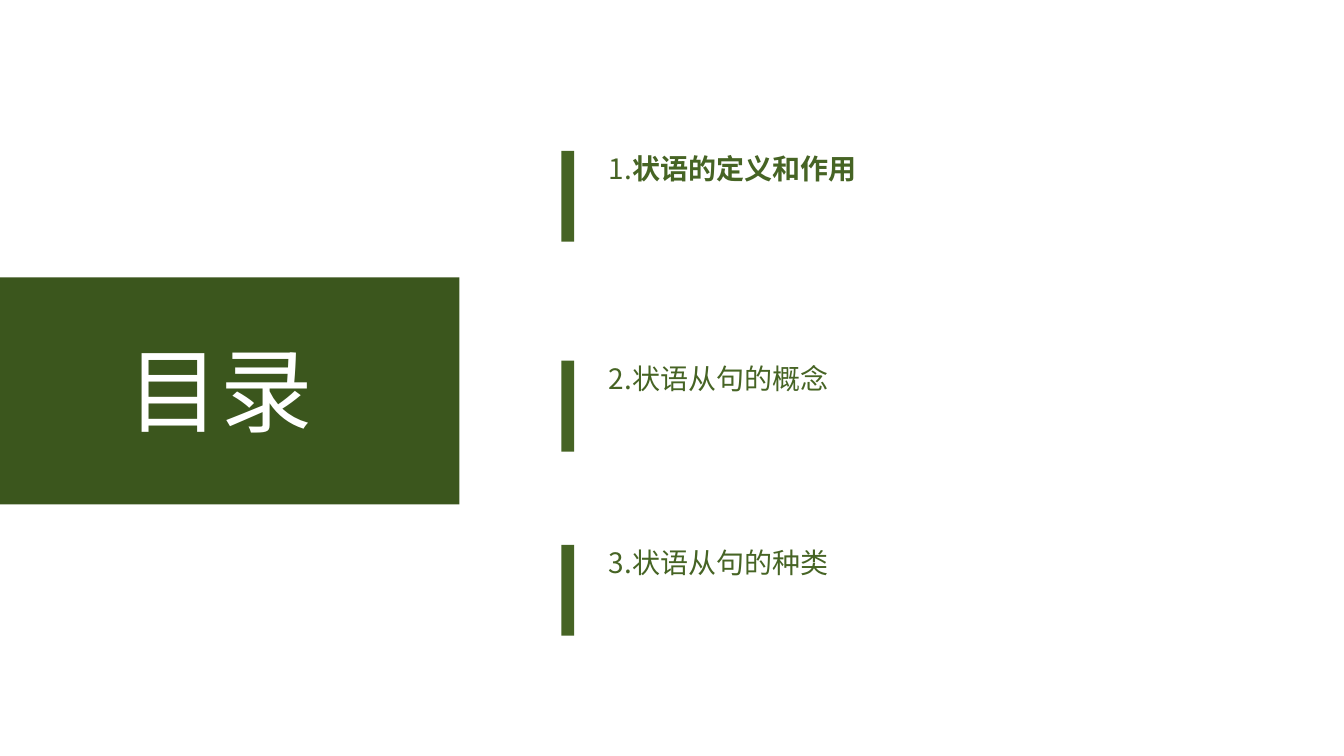
from lxml import etree
from pptx import Presentation
from pptx import util as u
from pptx.dml.color import RGBColor
from pptx.enum import shapes, text
from pptx.oxml.ns import qn

TITLE = "目录"
CJK_FONT = "Noto Sans CJK SC"
ENTRIES = [
    {"top": 3.05, "runs": [("1.", CJK_FONT, False), ("状语的定义和作用", "Arial", True)]},
    {"top": 8.34, "runs": [("2.状语从句的概念", CJK_FONT, False)]},
    {"top": 12.98, "runs": [("3.状语从句的种类", CJK_FONT, False)]},
]
COLORS = {"panel": "3B561D", "accent": "466424", "title": "FFFFFF"}
PANEL = (0, 6.99, 11.58, 5.72)
TITLE_AREA = (0, 7.39, 11.1, 4.8)
ENTRY_LEFT, ENTRY_WIDTH, ENTRY_HEIGHT = 15.09, 14.4, 1.75
BAR_LEFT, BAR_WIDTH, BAR_HEIGHT, BAR_DROP = 14.15, 0.32, 2.29, 0.75


def lengths(values):
    return [u.Cm(value) for value in values]


def add_block(page, area, color):
    block = page.shapes.add_shape(shapes.MSO_SHAPE.RECTANGLE, *lengths(area))
    block.shadow.inherit = False
    block.fill.solid()
    block.fill.fore_color.rgb = RGBColor.from_string(COLORS[color])
    block.line.fill.background()


def format_frame(frame, anchor):
    settings = {
        "word_wrap": True,
        "auto_size": text.MSO_AUTO_SIZE.NONE,
        "vertical_anchor": anchor,
    }
    for name, value in settings.items():
        setattr(frame, name, value)


def add_span(para, words, font, size, color, bold=False):
    span = para.add_run()
    span.text = words
    for name, value in {"name": font, "size": u.Pt(size), "bold": bold}.items():
        setattr(span.font, name, value)
    span.font.color.rgb = RGBColor.from_string(COLORS[color])
    east_asian = etree.SubElement(span.font._element, qn("a:ea"))
    east_asian.set("typeface", font)


def add_title(page):
    title = page.shapes.title
    for name, value in zip(("left", "top", "width", "height"), lengths(TITLE_AREA)):
        setattr(title, name, value)
    format_frame(title.text_frame, text.MSO_ANCHOR.MIDDLE)
    para = title.text_frame.paragraphs[0]
    para.alignment = text.PP_ALIGN.CENTER
    add_span(para, TITLE, CJK_FONT, 66, "title")
    page.shapes._spTree.append(title._element)


def add_entry(page, entry):
    area = (ENTRY_LEFT, entry["top"], ENTRY_WIDTH, ENTRY_HEIGHT)
    box = page.shapes.add_textbox(*lengths(area))
    format_frame(box.text_frame, text.MSO_ANCHOR.BOTTOM)
    for words, font, bold in entry["runs"]:
        add_span(box.text_frame.paragraphs[0], words, font, 20, "accent", bold)
    add_block(page, (BAR_LEFT, entry["top"] + BAR_DROP, BAR_WIDTH, BAR_HEIGHT), "accent")


def main():
    deck = Presentation()
    deck.slide_width, deck.slide_height = lengths((33.87, 19.05))
    page = deck.slides.add_slide(deck.slide_layouts[5])
    add_block(page, PANEL, "panel")
    add_title(page)
    for entry in ENTRIES:
        add_entry(page, entry)
    deck.save("out.pptx")


if __name__ == "__main__":
    main()
